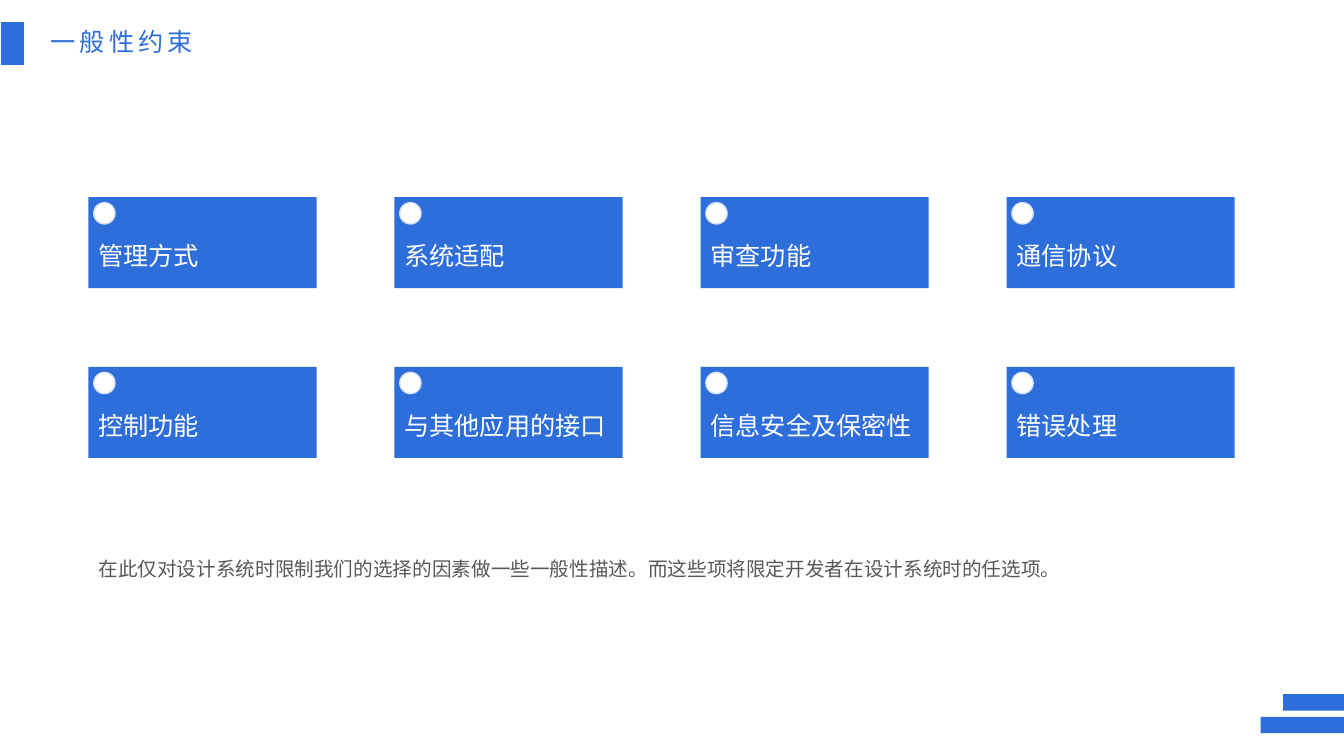
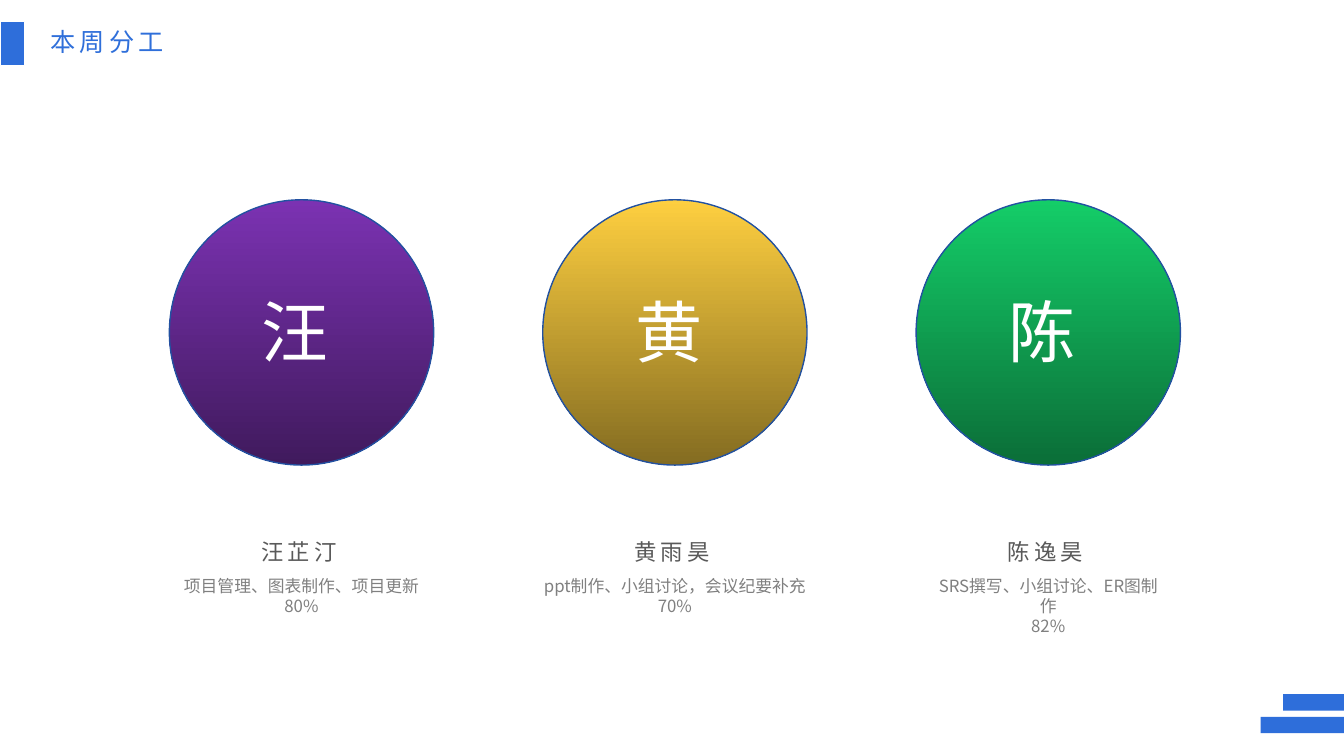
from lxml.etree import SubElement
from pptx import Presentation
from pptx.dml.color import RGBColor
from pptx.enum.shapes import MSO_SHAPE
from pptx.enum.text import PP_ALIGN
from pptx.oxml.ns import qn
from pptx.util import Pt

WIDTH, HEIGHT = 960, 540
FONT = "Noto Sans CJK SC"
COLORS = {
    "blue": "2E6EDA",
    "title": "2F6FDA",
    "white": "FFFFFF",
    "dot_edge": "D5E2F8",
    "circle_edge": "2251A1",
    "dark": "595959",
    "grey": "808080",
    "purple": "7B32B2",
    "deep_purple": "401A5D",
    "gold": "FECF40",
    "deep_gold": "846C21",
    "green": "14CD68",
    "deep_green": "0B6E38",
}
CONSTRAINTS = [
    ["管理方式", "系统适配", "审查功能", "通信协议"],
    ["控制功能", "与其他应用的接口", "信息安全及保密性", "错误处理"],
]
CONSTRAINT_NOTE = "在此仅对设计系统时限制我们的选择的因素做一些一般性描述。而这些项将限定开发者在设计系统时的任选项。"
MEMBERS = [
    ("汪芷汀", "项目管理、图表制作、项目更新", "80%", 184.3, ("purple", "deep_purple")),
    ("黄雨昊", "ppt制作、小组讨论，会议纪要补充", "70%", 202.3, ("gold", "deep_gold")),
    ("陈逸昊", "SRS撰写、小组讨论、ER图制作", "82%", 180, ("green", "deep_green")),
]


def color(name):
    return RGBColor.from_string(COLORS[name])


class Slides:
    """Hold the deck, its shared style and the page being drawn."""

    def __init__(self):
        self.deck = Presentation()
        self.deck.slide_width, self.deck.slide_height = Pt(WIDTH), Pt(HEIGHT)
        self.page = None

    def add_page(self, title):
        self.page = self.deck.slides.add_slide(self.deck.slide_layouts[6])
        self.text(title, 28.8, 15.1, 120, 29, 18, "title", spacing=3, wrap=False)
        self.shape(MSO_SHAPE.RECTANGLE, 0.2, 15.3, 17.5, 31.5, "blue", "white")
        for top, width in ((512, 59.5), (495.8, 43.5)):
            self.shape(MSO_SHAPE.RECTANGLE, WIDTH - width, top, width, 11.8, "blue")

    def shape(self, kind, left, top, width, height, fill, edge=None):
        shape = self.page.shapes.add_shape(kind, Pt(left), Pt(top), Pt(width), Pt(height))
        shape.shadow.inherit = False
        if isinstance(fill, tuple):
            shape.fill.gradient()
            shape.fill.gradient_angle = 270
            for stop, name in zip(shape.fill.gradient_stops, fill):
                stop.color.rgb = color(name)
        else:
            shape.fill.solid()
            shape.fill.fore_color.rgb = color(fill)
        if edge:
            shape.line.color.rgb = color(edge)
            shape.line.width = Pt(1)
        else:
            shape.line.fill.background()

    def text(self, text, left, top, width, height, size, ink,
             align=PP_ALIGN.LEFT, line_spacing=None, spacing=0, wrap=True):
        box = self.page.shapes.add_textbox(Pt(left), Pt(top), Pt(width), Pt(height))
        box.text_frame.word_wrap = wrap
        box.text_frame.text = text
        for para in box.text_frame.paragraphs:
            para.alignment = align
            para.line_spacing = line_spacing
            for span in para.runs:
                span.font.size = Pt(size)
                span.font.name = FONT
                span.font.color.rgb = color(ink)
                properties = span.font._element
                SubElement(properties, qn("a:ea")).set("typeface", FONT)
                if spacing:
                    properties.set("spc", str(spacing * 100))

    def card(self, label, left, top):
        self.shape(MSO_SHAPE.RECTANGLE, left, top, 163, 65, "blue")
        self.shape(MSO_SHAPE.OVAL, left + 3.8, top + 4, 15.2, 15.2, "white", "dot_edge")
        self.text(label, left, top + 23, 163, 41, 18, "white", line_spacing=1.2)

    def member(self, name, role, share, role_width, gradient, center):
        self.shape(MSO_SHAPE.OVAL, center - 94.4, 142.7, 188.8, 189.5, gradient, "circle_edge")
        self.text(name[0], center - 35.5, 203.5, 72, 65.5, 48, "white")
        self.text(name, center - 36, 380.9, 71, 26.6, 16, "dark", spacing=3, wrap=False)
        self.text(f"{role}\n{share}", center - role_width / 2, 407.5, role_width, 36,
                  12, "grey", align=PP_ALIGN.CENTER)


def main():
    slides = Slides()

    slides.add_page("一般性约束")
    for row, labels in enumerate(CONSTRAINTS):
        for column, label in enumerate(labels):
            slides.card(label, 63.2 + 218.6 * column, 140.8 + 121.2 * row)
    slides.text(CONSTRAINT_NOTE, 63.2, 385.9, 834, 32.4, 14, "dark", line_spacing=1.5)

    slides.add_page("本周分工")
    for index, member in enumerate(MEMBERS):
        slides.member(*member, center=215.4 + 266.7 * index)

    slides.deck.save("out.pptx")


if __name__ == "__main__":
    main()
